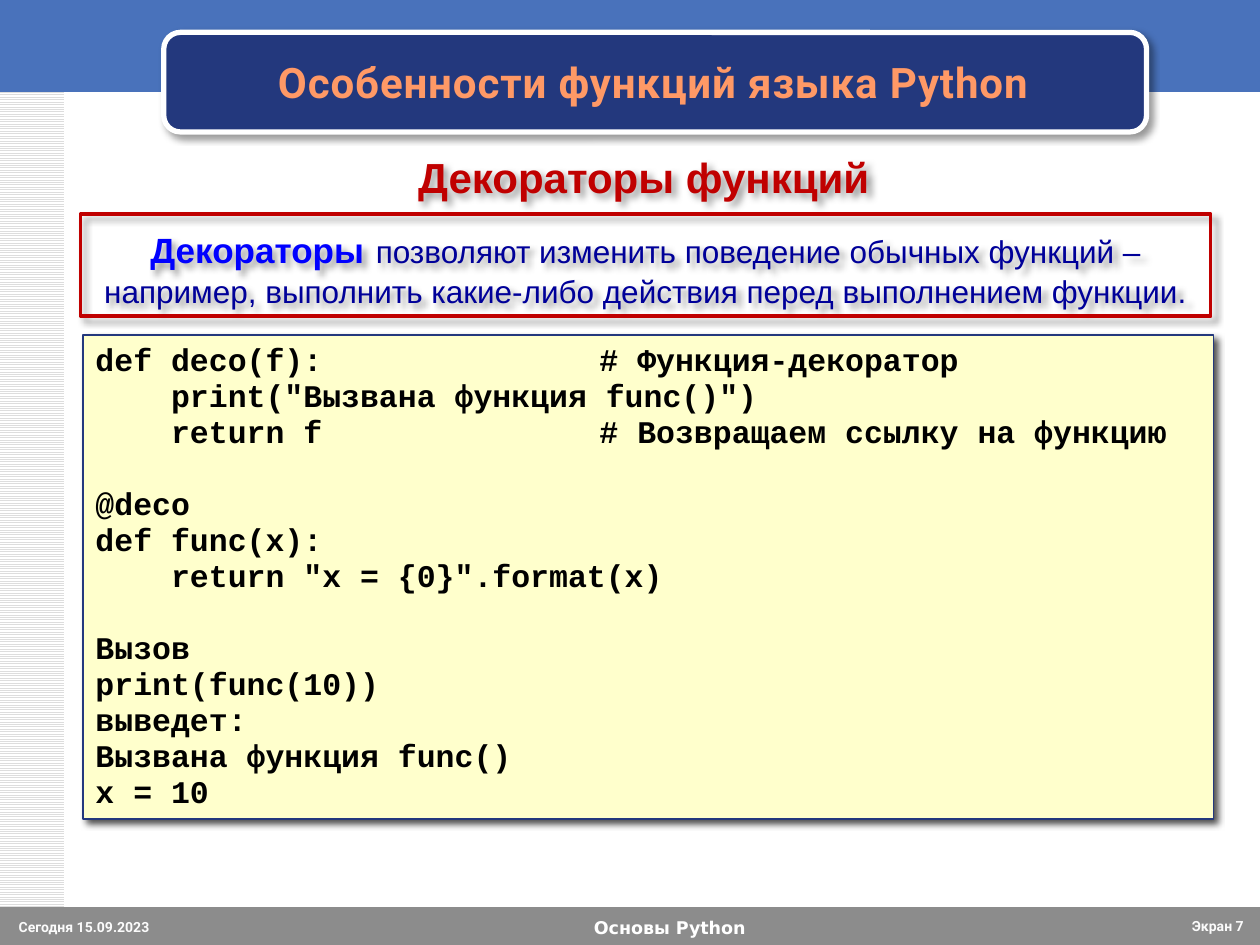
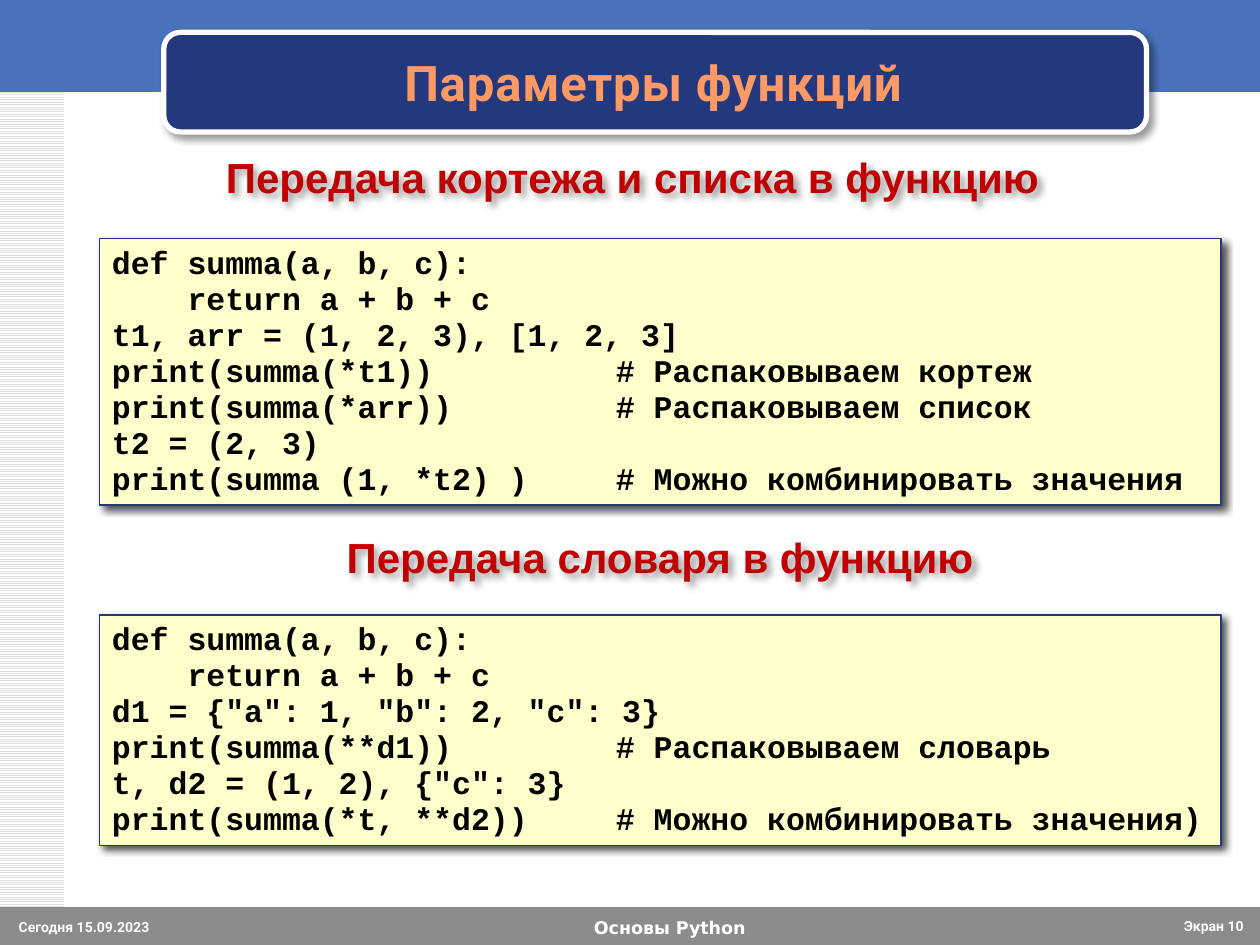
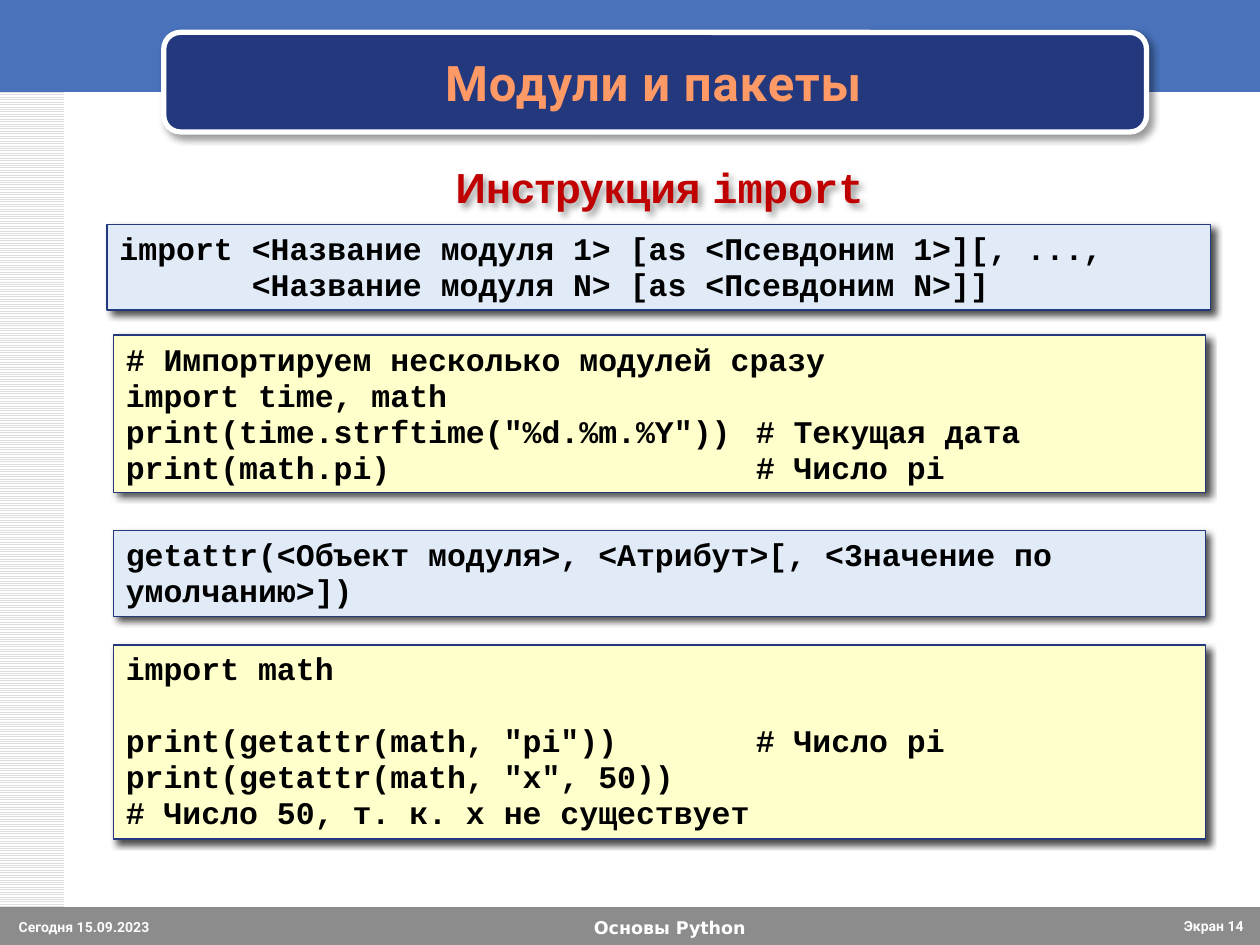
from dataclasses import dataclass

from lxml.etree import SubElement
from pptx import Presentation
from pptx.dml.color import RGBColor
from pptx.enum.dml import MSO_PATTERN
from pptx.enum.shapes import MSO_SHAPE as Preset
from pptx.enum.text import MSO_ANCHOR as Anchor, PP_ALIGN as Align
from pptx.oxml.ns import qn
from pptx.util import Pt


@dataclass(frozen=True)
class Theme:
    white: str = "FFFFFF"
    black: str = "000000"
    stripe: str = "DDDDDD"
    band: str = "4972BB"
    navy: str = "23387D"
    footer: str = "8C8C8C"
    footer_text: str = "FBFBFB"
    title: str = "FF9966"
    heading: str = "C00000"
    term: str = "0000FF"
    body: str = "000099"
    code_fill: str = "FFFFCC"
    syntax_fill: str = "E1EBF7"

    sans: str = "Arial"
    mono: str = "Courier New"
    display: str = "Roboto"
    course_font: str = "DejaVu Sans"

    title_size: int = 28
    long_title_size: int = 24
    heading_size: int = 24
    term_size: int = 20
    text_size: int = 18
    course_size: int = 10
    footer_size: int = 8
    code_pitch: float = 20.57

    soft_shadow: int = 40
    strong_shadow: int = 70


def rgb(color):
    return RGBColor.from_string(color)


class Lesson:
    """Holds the deck, its theme and the slide being filled."""

    def __init__(self, theme):
        self.theme = theme
        self.deck = Presentation()
        self.deck.slide_width, self.deck.slide_height = Pt(720), Pt(540)
        self.page = None

    def shape(self, at, fill=None, line=None, width=0.75, shadow=None, preset=Preset.RECTANGLE):
        box = self.page.shapes.add_shape(preset, *map(Pt, at))
        box.shadow.inherit = False
        if fill:
            box.fill.solid()
            box.fill.fore_color.rgb = rgb(fill)
        else:
            box.fill.background()
        if line:
            box.line.color.rgb = rgb(line)
            box.line.width = Pt(width)
        else:
            box.line.fill.background()
        if shadow:
            self.cast_shadow(box, shadow)
        return box

    def cast_shadow(self, box, opacity):
        box.shadow.inherit = False
        effects = box.element.spPr.find(qn("a:effectLst"))
        outer = SubElement(effects, qn("a:outerShdw"), blurRad=str(Pt(4)), dist=str(Pt(3)),
                           dir=str(45 * 60000), algn="tl", rotWithShape="0")
        color = SubElement(outer, qn("a:srgbClr"), val=self.theme.black)
        SubElement(color, qn("a:alpha"), val=str(opacity * 1000))

    def span(self, para, text, size, color, font, bold=True, spacing=None):
        run = para.add_run()
        run.text = text
        run.font.size = Pt(size)
        run.font.name = font
        run.font.bold = bold
        run.font.color.rgb = rgb(color)
        if spacing:
            run.font._element.set("spc", str(round(spacing * 100)))

    def text_box(self, at, align=Align.CENTER, anchor=Anchor.TOP):
        """Add an empty text box and return it with its first paragraph."""
        box = self.page.shapes.add_textbox(*map(Pt, at))
        box.text_frame.word_wrap = True
        box.text_frame.vertical_anchor = anchor
        para = box.text_frame.paragraphs[0]
        para.alignment = align
        return box, para

    def start_page(self, title, number, size=None):
        """Open a slide with its bands, title and footer."""
        theme = self.theme
        self.page = self.deck.slides.add_slide(self.deck.slide_layouts[6])

        stripes = self.shape((0, 0, 36.7, 540), theme.white)
        stripes.fill.patterned()
        stripes.fill.pattern = MSO_PATTERN.LIGHT_HORIZONTAL
        stripes.fill.fore_color.rgb = rgb(theme.stripe)
        stripes.fill.back_color.rgb = rgb(theme.white)

        self.shape((0, 0, 720, 52.5), theme.band)
        self.shape((93.6, 18.5, 561.6, 56.9), theme.navy, theme.white, 3,
                   theme.soft_shadow, Preset.ROUNDED_RECTANGLE)
        self.shape((0, 518.4, 720, 21.6), theme.footer)

        _, para = self.text_box((191.5, 520.5, 382.3, 19.5))
        self.span(para, "Основы Python", theme.course_size, theme.white, theme.course_font)
        for text, at, align in (
            ("Сегодня 15.09.2023", (3.6, 521.3, 118.8, 18.7), Align.LEFT),
            (f"Экран {number}", (657.4, 520.5, 60.5, 19.5), Align.RIGHT),
        ):
            _, para = self.text_box(at, align)
            self.span(para, text, theme.footer_size, theme.footer_text, theme.display)

        _, para = self.text_box((99.4, 24.5, 547.9, 44.6), anchor=Anchor.MIDDLE)
        self.span(para, title, size or theme.title_size, theme.title, theme.display, spacing=0.5)

    def heading(self, at, text, code=None):
        theme = self.theme
        box, para = self.text_box(at)
        self.cast_shadow(box, theme.soft_shadow)
        self.span(para, text, theme.heading_size, theme.heading, theme.sans)
        if code:
            self.span(para, code, theme.heading_size, theme.heading, theme.mono)

    def definition(self, at, term, text):
        theme = self.theme
        box = self.shape(at, line=theme.heading, width=2, shadow=theme.soft_shadow)
        box.text_frame.word_wrap = True
        box.text_frame.vertical_anchor = Anchor.MIDDLE
        para = box.text_frame.paragraphs[0]
        para.alignment = Align.CENTER
        self.span(para, term, theme.term_size, theme.term, theme.sans)
        self.span(para, " ", theme.heading_size, theme.term, theme.sans)
        self.span(para, text, theme.text_size, theme.body, theme.sans, bold=False)

    def code(self, at, listing, fill=None, comment_column=288):
        """Add a listing; an empty line becomes space before the next one."""
        theme = self.theme
        box = self.shape(at, fill or theme.code_fill, theme.navy, shadow=theme.strong_shadow)
        frame = box.text_frame
        frame.word_wrap = True
        frame.vertical_anchor = Anchor.TOP
        para, gap = frame.paragraphs[0], 0
        for index, line in enumerate(listing.strip("\n").split("\n")):
            if not line:
                gap += theme.code_pitch
                continue
            if index:
                para = frame.add_paragraph()
            para.alignment = Align.LEFT
            para.line_spacing = Pt(theme.code_pitch)
            para.space_before = Pt(gap)
            gap = 0
            if "\t" in line:
                stops = SubElement(para._p.get_or_add_pPr(), qn("a:tabLst"))
                SubElement(stops, qn("a:tab"), pos=str(Pt(comment_column)), algn="l")
            self.span(para, line, theme.text_size, theme.black, theme.mono)

    def syntax(self, at, listing):
        self.code(at, listing, self.theme.syntax_fill)


DECORATOR = """
def deco(f):\t# Функция-декоратор
    print("Вызвана функция func()")
    return f\t# Возвращаем ссылку на функцию

@deco
def func(х):
    return "х = {0}".format(х)

Вызов
print(func(10))
выведет:
Вызвана функция func()
х = 10
"""

SUMMA = """
def summa(а, b, с):
    return а + b + с
"""

TUPLE_CALLS = SUMMA + """t1, arr = (1, 2, 3), [1, 2, 3]
print(summa(*t1))\t# Распаковываем кортеж
print(summa(*arr))\t# Распаковываем список
t2 = (2, 3)
print(summa (1, *t2) )\t# Можно комбинировать значения
"""

DICT_CALLS = SUMMA + """d1 = {"а": 1, "b": 2, "с": 3}
print(summa(**d1))\t# Распаковываем словарь
t, d2 = (1, 2), {"с": 3}
print(summa(*t, **d2))\t# Можно комбинировать значения)
"""

IMPORT_SYNTAX = """
import <Название модуля 1> [as <Псевдоним 1>][, ...,
       <Название модуля N> [as <Псевдоним N>]]
"""

IMPORT_EXAMPLE = """
# Импортируем несколько модулей сразу
import time, math
print(time.strftime("%d.%m.%Y"))\t# Текущая дата
print(math.pi)\t# Число pi
"""

GETATTR_SYNTAX = "getattr(<Объект модуля>, <Атрибут>[, <3начение по умолчанию>])"

GETATTR_EXAMPLE = """
import math

print(getattr(math, "pi"))\t# Число pi
print(getattr(math, "x", 50))
# Число 50, т. к. x не существует
"""


def decorators(lesson):
    lesson.start_page("Особенности функций языка Python", 7, lesson.theme.long_title_size)
    lesson.heading((141.1, 82.8, 453.6, 36), "Декораторы функций")
    lesson.definition((46.1, 122.4, 645.8, 58.3), "Декораторы",
                      "позволяют изменить поведение обычных функций – например, "
                      "выполнить какие-либо действия перед выполнением функции.")
    lesson.code((47.5, 191.5, 645.8, 276.5), DECORATOR)


def parameters(lesson):
    lesson.start_page("Параметры функций", 10)
    lesson.code((56.9, 136.1, 640.8, 152.6), TUPLE_CALLS)
    lesson.code((56.9, 351.4, 640.8, 131.8), DICT_CALLS)
    lesson.heading((79.9, 300.2, 594.7, 36), "Передача словаря в функцию")
    lesson.heading((64.1, 82.8, 594.7, 36), "Передача кортежа и списка в функцию")


def imports(lesson):
    lesson.start_page("Модули и пакеты", 14)
    lesson.heading((223.9, 88.6, 306, 36), "Инструкция ", "import")
    lesson.syntax((61.2, 128.2, 630.7, 49), IMPORT_SYNTAX)
    left, width = 64.8, 624.2
    lesson.code((left, 191.5, width, 90), IMPORT_EXAMPLE, comment_column=360)
    lesson.syntax((left, 303.1, width, 49), GETATTR_SYNTAX)
    lesson.code((left, 368.6, width, 110.9), GETATTR_EXAMPLE, comment_column=360)


def main():
    lesson = Lesson(Theme())
    for build in (decorators, parameters, imports):
        build(lesson)
    lesson.deck.save("out.pptx")


if __name__ == "__main__":
    main()
